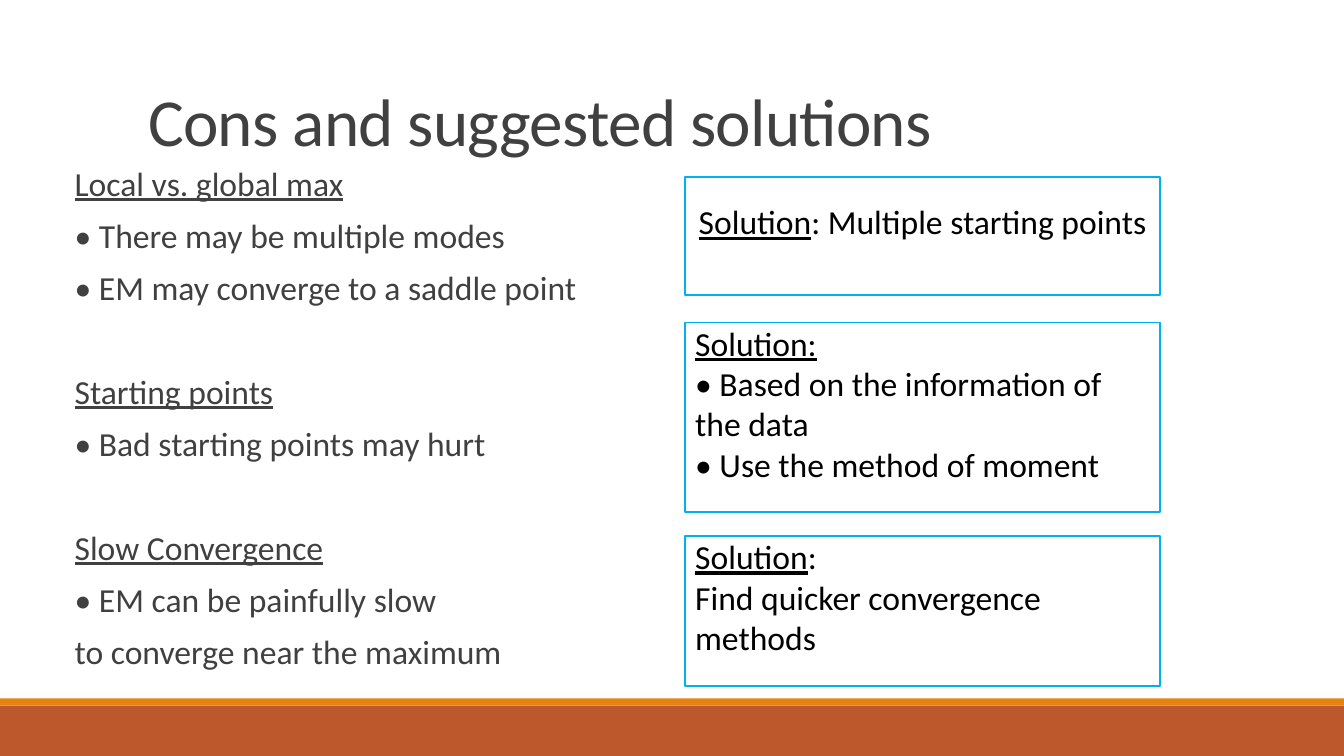
"""Build the slide on the cons of EM and the suggested solutions."""
from pptx import Presentation
from pptx.dml.color import RGBColor
from pptx.enum.shapes import MSO_SHAPE as Shape
from pptx.enum.text import MSO_ANCHOR as Anchor, MSO_AUTO_SIZE as AutoSize, PP_ALIGN as Align
from pptx.oxml.ns import qn
from pptx.util import Cm, Pt


def colour(code):
    return RGBColor.from_string(code)


def write(para, spans, size, code, **layout):
    for name, value in {"alignment": Align.LEFT, **layout}.items():
        setattr(para, name, value)
    for text, underline in spans:
        span = para.add_run()
        span.text = text
        span.font.color.rgb = colour(code)
        for name, value in {"name": "Calibri", "size": Pt(size), "underline": underline}.items():
            setattr(span.font, name, value)


deck = Presentation()
deck.slide_width, deck.slide_height = Cm(33.87), Cm(19.05)
page = deck.slides.add_slide(deck.slide_layouts[1])
title, body = page.placeholders

frames = [
    (title, (3.48, 0.13, 27.94, 4.04), {"vertical_anchor": Anchor.BOTTOM}),
    (body, (1.88, 4.17, 13.13, 13.2),
     {"vertical_anchor": Anchor.TOP, "margin_left": 0, "margin_right": 0}),
]
for box, place, frame_format in frames:
    box.left, box.top, box.width, box.height = map(Cm, place)
    for name, value in {"word_wrap": True, "auto_size": AutoSize.NONE, **frame_format}.items():
        setattr(box.text_frame, name, value)

heading = title.text_frame.paragraphs[0]
write(heading, [("Cons and suggested solutions", False)], 48, "404040", line_spacing=0.85)
heading.runs[0].font._element.set("spc", "-50")

problems = [
    ("Local vs. global max", ["• There may be multiple modes", "• EM may converge to a saddle point"]),
    ("Starting points", ["• Bad starting points may hurt"]),
    ("Slow Convergence", ["• EM can be painfully slow", "to converge near the maximum"]),
]
para = body.text_frame.paragraphs[0]
for number, (problem, details) in enumerate(problems):
    for row, text in enumerate([problem, *details]):
        if number or row:
            para = body.text_frame.add_paragraph()
        gap = 49.4 if number and row == 0 else 12
        write(para, [(text, row == 0)], 24, "404040", line_spacing=0.8,
              space_before=Pt(gap if number or row else 0), space_after=Pt(2))
        properties = para._p.get_or_add_pPr()
        properties.set("marL", "0")
        properties.set("indent", "0")
        properties.append(properties.makeelement(qn("a:buNone"), {}))

solutions = [
    (4.47, 2.97, 0.6, Align.CENTER, [[("Solution", True), (": Multiple starting points", False)]]),
    (8.13, 4.78, 0, Align.LEFT, [
        [("Solution:", True)],
        [("• Based on the information of the data", False)],
        [("• Use the method of moment", False)],
    ]),
    (13.51, 3.78, 0, Align.LEFT, [
        [("Solution", True), (":", False)],
        [("Find quicker convergence methods", False)],
    ]),
]
for top, height, margin, alignment, rows in solutions:
    box = page.shapes.add_shape(Shape.FLOWCHART_PROCESS, Cm(17.27), Cm(top), Cm(11.96), Cm(height))
    box.shadow.inherit = False
    box.fill.solid()
    box.fill.fore_color.rgb = colour("FFFFFF")
    box.line.color.rgb = colour("00B0F0")
    box.line.width = Pt(1.25)
    frame = box.text_frame
    frame_format = {"word_wrap": True, "vertical_anchor": Anchor.TOP,
                    "margin_top": Cm(margin), "margin_bottom": 0}
    for name, value in frame_format.items():
        setattr(frame, name, value)
    for row, spans in enumerate(rows):
        para = frame.add_paragraph() if row else frame.paragraphs[0]
        write(para, spans, 24, "000000", alignment=alignment)

for top, height, code in [(17.78, 1.27, "BD582C"), (17.6, 0.18, "E48312")]:
    bar = page.shapes.add_shape(Shape.RECTANGLE, 0, Cm(top), deck.slide_width, Cm(height))
    bar.shadow.inherit = False
    bar.fill.solid()
    bar.fill.fore_color.rgb = colour(code)
    bar.line.fill.background()

deck.save("out.pptx")
